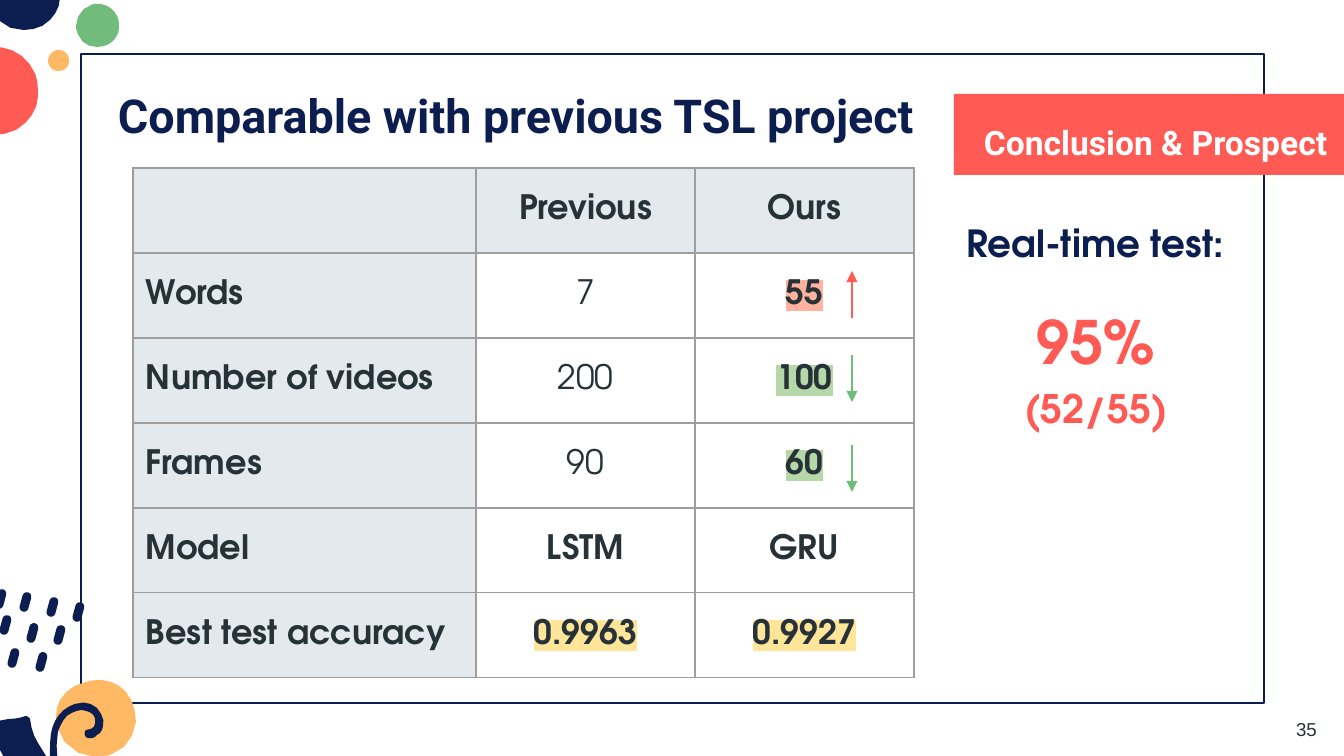
import pptx
import pptx.dml.color
import pptx.enum.shapes
import pptx.enum.text
import pptx.oxml
import pptx.oxml.ns
import pptx.util
from lxml import etree

PX = 914400 / 134.4
COLORS = {
    "navy": "0C1E4F", "coral": "FF5A54", "green": "71BC7B", "amber": "FFB864",
    "ink": "263238", "white": "FFFFFF", "header": "E3E9ED", "border": "9E9E9E",
    "red mark": "FFB39F", "green mark": "B6D7A8", "yellow mark": "FFE599",
}
CENTER = pptx.enum.text.PP_ALIGN.CENTER
SHAPES = pptx.enum.shapes.MSO_SHAPE
QS = pptx.oxml.ns.qn
HEADING, BODY = "Roboto", "TeX Gyre Adventor"

BLOB = [(97, 31), (92, 19), (83, 9), (71, 4), (60, 0), (49, -2), (38, 1),
        (15, 7), (0, 30), (0, 51), (0, 59), (2, 65), (5, 71),
        (12, 91), (29, 100), (49, 100), (63, 100), (77, 96), (86, 86),
        (94, 78), (100, 67), (100, 56), (100, 48), (100, 39), (97, 31)]
SUN = [(83, 683), (74, 685), (66, 691), (60, 700), (56, 708), (55, 718), (57, 726),
       (60, 743), (78, 757), (95, 757), (101, 757), (106, 757), (112, 754),
       (126, 750), (134, 736), (136, 722), (136, 711), (133, 700), (126, 692),
       (120, 685), (112, 681), (102, 680), (97, 680), (90, 680), (83, 683)]
WEDGE = [(-4, 722), (-6, 723), (-7, 724), (-7, 726), (-4, 747), (7, 769), (23, 784),
         (40, 800), (62, 808), (85, 809), (97, 809), (109, 808), (120, 806),
         (122, 804), (122, 798), (120, 792), (120, 786), (119, 780), (114, 780),
         (99, 782), (83, 781), (70, 774), (56, 767), (44, 757), (38, 743),
         (34, 737), (31, 728), (30, 719), (30, 718), (27, 716), (26, 716),
         (20, 718), (15, 719), (9, 719), (5, 720), (0, 720), (-4, 722)]
SWIRL = [(75, 704), (69, 706), (63, 710), (59, 715), (55, 720), (52, 727), (51, 734),
         (50, 742), (50, 749), (50, 757), (51, 771), (55, 786), (52, 801),
         (51, 809), (48, 816), (43, 823), (37, 828), (28, 829), (21, 825),
         (19, 825), (17, 829), (20, 831), (26, 835), (32, 835), (39, 833),
         (46, 830), (52, 824), (55, 816), (59, 809), (60, 802), (60, 794),
         (60, 788), (60, 781), (59, 773), (58, 759), (55, 746), (58, 732),
         (60, 726), (63, 720), (67, 716), (70, 714), (73, 712), (77, 711),
         (80, 710), (83, 710), (86, 711), (90, 712), (94, 714), (95, 718),
         (96, 723), (95, 728), (91, 729), (89, 730), (87, 729), (85, 731),
         (84, 734), (85, 737), (87, 738), (92, 739), (95, 738), (97, 735),
         (101, 734), (102, 730), (103, 727), (105, 720), (102, 714), (97, 708),
         (91, 703), (84, 701), (75, 704)]


def emu(*lengths):
    return [round(length * PX) for length in lengths]


def rgb(name):
    return pptx.dml.color.RGBColor.from_string(COLORS[name])


def set_all(target, values):
    for name, value in values.items():
        setattr(target, name, value)


def add_span(para, text, font, size, color, bold=False, mark=None):
    span = para.add_run()
    span.text = text
    span.font.color.rgb = rgb(color)
    set_all(span.font, {"name": font, "size": pptx.util.Pt(size), "bold": bold})
    if mark:
        highlight = etree.Element(QS("a:highlight"))
        etree.SubElement(highlight, QS("a:srgbClr"), val=COLORS[mark])
        span.font._element.find(QS("a:solidFill")).addnext(highlight)


def add_text(slide, place, paragraphs, left_inset=13):
    frame = slide.shapes.add_textbox(*emu(*place)).text_frame
    left, inset = emu(left_inset, 13)
    set_all(frame, {"word_wrap": True, "margin_left": left, "margin_right": inset,
                    "margin_top": inset, "margin_bottom": inset})
    for index, (layout, spans) in enumerate(paragraphs):
        para = frame.add_paragraph() if index else frame.paragraphs[0]
        set_all(para, layout)
        for span in spans:
            add_span(para, *span)


def add_box(slide, kind, place, fill=None, line=None):
    box = slide.shapes.add_shape(kind, *emu(*place))
    paint(box, fill, line)
    return box


def paint(shape, fill, line=None):
    shape.shadow.inherit = False
    if fill:
        shape.fill.solid()
        shape.fill.fore_color.rgb = rgb(fill)
    else:
        shape.fill.background()
    if line:
        shape.line.color.rgb = rgb(line)
        shape.line.width = pptx.util.Pt(1.5)
    else:
        shape.line.fill.background()


def curve_points(outline, steps=3):
    points = [outline[0]]
    for first in range(0, len(outline) - 1, 3):
        corners = outline[first:first + 4]
        for step in range(1, steps + 1):
            t = step / steps
            weights = ((1 - t) ** 3, 3 * t * (1 - t) ** 2, 3 * t * t * (1 - t), t ** 3)
            points.append(tuple(sum(w * corner[axis] for w, corner in zip(weights, corners))
                                for axis in (0, 1)))
    return points


def add_outline(slide, outline, color, place=(0, 0, 100, 100)):
    left, top, width, height = place
    points = [emu(left + x * width / 100, top + y * height / 100)
              for x, y in curve_points(outline)]
    builder = slide.shapes.build_freeform(*points[0])
    builder.add_line_segments(points[1:-1], close=True)
    paint(builder.convert_to_shape(), color)


def add_dash(slide, left, top):
    dash = add_box(slide, SHAPES.ROUNDED_RECTANGLE, (left, top, 9, 20), fill="navy")
    dash.adjustments[0] = 0.5
    dash.rotation = 15


def add_arrow(slide, x, start, end, color):
    straight = pptx.enum.shapes.MSO_CONNECTOR.STRAIGHT
    arrow = slide.shapes.add_connector(straight, *emu(x, start, x, end))
    arrow.line.color.rgb = rgb(color)
    arrow.line.width = pptx.util.Pt(1.5)
    etree.SubElement(arrow.line._get_or_add_ln(), QS("a:tailEnd"), type="triangle")
    etree.SubElement(arrow._element.spPr, QS("a:effectLst"))


def add_borders(cell):
    properties = cell._tc.get_or_add_tcPr()
    for index, side in enumerate(("lnL", "lnR", "lnT", "lnB")):
        border = etree.Element(QS("a:" + side), w=str(pptx.util.Pt(0.75)))
        fill = etree.SubElement(border, QS("a:solidFill"))
        etree.SubElement(fill, QS("a:srgbClr"), val=COLORS["border"])
        properties.insert(index, border)


def add_results(slide, rows, widths, row_height):
    place = emu(133, 168, sum(widths), row_height * len(rows))
    table = slide.shapes.add_table(len(rows), len(widths), *place).table
    for column, width in zip(table.columns, emu(*widths)):
        column.width = width
    inset = emu(13)[0]
    layout = {"vertical_anchor": pptx.enum.text.MSO_ANCHOR.MIDDLE, "margin_left": inset,
              "margin_right": inset, "margin_top": inset, "margin_bottom": inset}
    for r, row in enumerate(rows):
        table.rows[r].height = emu(row_height)[0]
        for c, (text, bold, mark) in enumerate(row):
            cell = table.cell(r, c)
            set_all(cell, layout)
            cell.fill.solid()
            cell.fill.fore_color.rgb = rgb("white" if r and c else "header")
            add_borders(cell)
            para = cell.text_frame.paragraphs[0]
            if c:
                para.alignment = CENTER
            if text:
                add_span(para, text, BODY, 18, "ink", bold, mark)


def main():
    deck = pptx.Presentation()
    deck.slide_width, deck.slide_height = emu(1344, 756)
    slide = deck.slides.add_slide(deck.slide_layouts[6])

    frame = add_box(slide, SHAPES.SNIP_2_DIAG_RECTANGLE, (81, 54, 1183, 649), line="navy")
    frame.adjustments[0] = frame.adjustments[1] = 0
    add_box(slide, SHAPES.RECTANGLE, (954, 94, 403, 81), fill="coral")
    loose = {"line_spacing": 1.15}
    add_text(slide, (1283, 702, 55, 40), [(loose, [("35", "Arial", 10, "ink")])])

    for color, place in (("navy", (-11, -42, 71, 72)), ("coral", (-50, 47, 88, 88)),
                         ("green", (76, 4, 43, 43)), ("amber", (48, 50, 21, 21))):
        add_outline(slide, BLOB, color, place)

    add_text(slide, (954, 99, 423, 87),
             [({"line_spacing": 1.25},
               [("Conclusion & Prospect", HEADING, 18, "white", True)])], left_inset=30)
    add_text(slide, (105, 66, 1134, 85),
             [(loose, [("Comparable with previous TSL project", HEADING, 25, "navy", True)])])

    add_results(slide, [
        [("", True, None), ("Previous", True, None), ("Ours", True, None)],
        [("Words", True, None), ("7", False, None), ("55", True, "red mark")],
        [("Number of videos", True, None), ("200", False, None), ("100", True, "green mark")],
        [("Frames", True, None), ("90", False, None), ("60", True, "green mark")],
        [("Model", True, None), ("LSTM", True, None), ("GRU", True, None)],
        [("Best test accuracy", True, None), ("0.9963", True, "yellow mark"),
         ("0.9927", True, "yellow mark")],
    ], (343, 219, 219), 85)
    for start, end, color in ((318, 271, "coral"), (355, 402, "green"), (445, 492, "green")):
        add_arrow(slide, 852, start, end, color)

    score = {"alignment": CENTER, "space_before": pptx.util.Pt(16),
             "space_after": pptx.util.Pt(16), **loose}
    add_text(slide, (953, 200, 286, 306), [
        (loose, [("Real-time test:", BODY, 20, "navy", True)]),
        (score, [("95% ", BODY, 32, "coral", True), ("(52/55)", BODY, 21, "coral", True)]),
    ])

    add_outline(slide, SUN, "amber")
    add_outline(slide, WEDGE, "navy")
    for left, top in ((-4, 589), (48, 597), (1, 615), (28, 623), (55, 625),
                      (9, 648), (37, 652), (21, 592), (74, 602)):
        add_dash(slide, left, top)
    add_outline(slide, SWIRL, "navy")
    deck.save("out.pptx")


if __name__ == "__main__":
    main()
